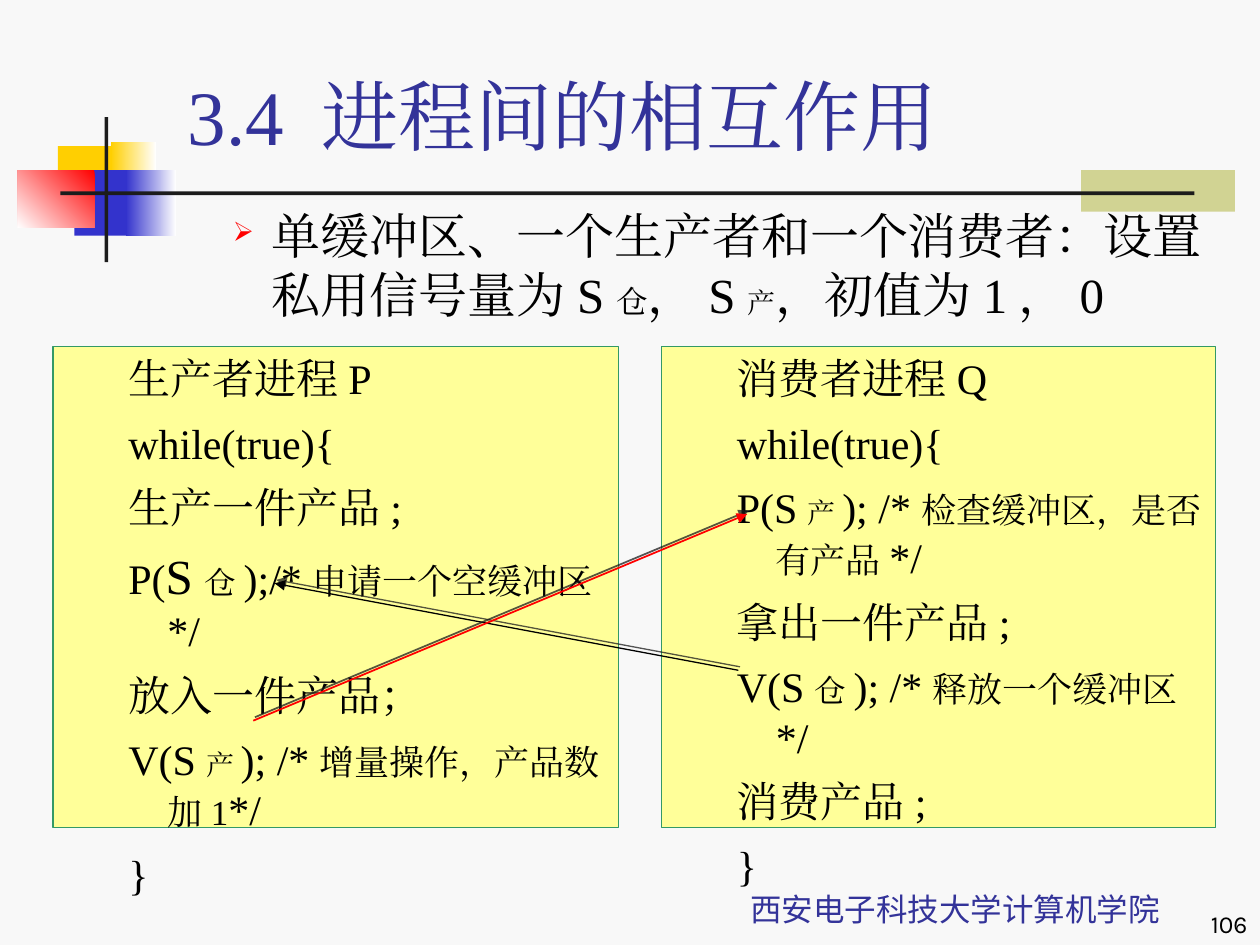
import lxml.etree
import pptx
import pptx.dml.color
import pptx.enum.shapes
import pptx.enum.text
import pptx.oxml
import pptx.oxml.ns
import pptx.util

Inches = pptx.util.Inches
Pt = pptx.util.Pt
RGB = pptx.dml.color.RGBColor.from_string
qn = pptx.oxml.ns.qn
ALIGN = pptx.enum.text.PP_ALIGN
ANCHOR = pptx.enum.text.MSO_ANCHOR
RECTANGLE = pptx.enum.shapes.MSO_SHAPE.RECTANGLE

THEME = {
    "color": {
        "background": "F8F8F8", "heading": "333399", "text": "000000",
        "olive": "D1D393", "gold": "FFCF01", "blue": "3333CC",
        "red": "FF0000", "white": "FFFFFF", "rule": "1C1C1C",
        "panel": "FFFF99", "panel_edge": "339966",
    },
    "size": {"title": 44, "body": 28, "code": 24, "note": 20, "sub": 18,
             "small_sub": 16, "footer": 18, "number": 14},
    "font": {"main": "Times New Roman", "footer": "Noto Sans CJK SC", "number": "Karla"},
}
COLOR, SIZE, FONT = THEME["color"], THEME["size"], THEME["font"]


def write_text(shape, paragraphs, color="text", font="main", anchor=ANCHOR.TOP,
               align=ALIGN.LEFT, before=1, hanging=False):
    frame = shape.text_frame
    frame_format = {
        "word_wrap": True, "auto_size": pptx.enum.text.MSO_AUTO_SIZE.NONE,
        "vertical_anchor": anchor,
        "margin_left": Inches(0.1), "margin_right": Inches(0.1),
        "margin_top": Inches(0.05), "margin_bottom": Inches(0.05),
    }
    for name, value in frame_format.items():
        setattr(frame, name, value)
    for index, pieces in enumerate(paragraphs):
        paragraph = frame.paragraphs[0] if index == 0 else frame.add_paragraph()
        paragraph_format = {"alignment": align, "space_before": Pt(before), "space_after": Pt(1)}
        for name, value in paragraph_format.items():
            setattr(paragraph, name, value)
        if hanging:
            properties = paragraph._p.get_or_add_pPr()
            properties.set("marL", str(Inches(0.81)))
            properties.set("indent", str(Inches(-0.31)))
        for words, size in pieces:
            run = paragraph.add_run()
            run.text = words
            run_format = {"size": Pt(SIZE[size]), "name": FONT[font], "bold": False}
            for name, value in run_format.items():
                setattr(run.font, name, value)
            run.font.color.rgb = RGB(COLOR[color])
            east_asian = lxml.etree.SubElement(run._r.get_or_add_rPr(), qn("a:ea"))
            east_asian.set("typeface", FONT[font])


def add_box(box, fill, edge=None):
    shape = slide.shapes.add_shape(RECTANGLE, *map(Inches, box))
    shape.shadow.inherit = False
    if isinstance(fill, str):
        shape.fill.solid()
        shape.fill.fore_color.rgb = RGB(COLOR[fill])
    else:
        start, end, angle = fill
        shape.fill.gradient()
        shape.fill.gradient_angle = angle
        for stop, color in zip(shape.fill.gradient_stops, (start, end)):
            stop.color.rgb = RGB(COLOR[color])
    if edge:
        shape.line.color.rgb = RGB(COLOR[edge])
        shape.line.width = Pt(0.75)
    else:
        shape.line.fill.background()
    return shape


deck = pptx.Presentation()
deck.slide_width, deck.slide_height = Inches(10), Inches(7.5)
slide = deck.slides.add_slide(deck.slide_layouts[5])
slide.background.fill.solid()
slide.background.fill.fore_color.rgb = RGB(COLOR["background"])

ornaments = [
    ((8.58, 1.35, 1.22, 0.33), "olive"),
    ((0.46, 1.16, 0.48, 0.52), "gold"),
    ((0.88, 1.13, 0.36, 0.52), ("white", "gold", 180)),
    ((0.59, 1.35, 0.46, 0.52), "blue"),
    ((1, 1.35, 0.4, 0.52), ("white", "blue", 180)),
    ((0.14, 1.35, 0.61, 0.46), ("red", "white", 225)),
    ((0.83, 0.93, 0.03, 1.15), "rule"),
    ((0.48, 1.52, 9, 0.03), "rule"),
]
for box, fill in ornaments:
    add_box(box, fill)

title = slide.shapes.title
title_place = {"left": 1.39, "top": 0.5, "width": 8.52, "height": 0.83}
for name, value in title_place.items():
    setattr(title, name, Inches(value))
write_text(title, [[("3.4 进程间的相互作用", "title")]], color="heading", anchor=ANCHOR.BOTTOM)

school = slide.shapes.add_textbox(*map(Inches, (5.33, 6.83, 4.5, 0.58)))
write_text(school, [[("西安电子科技大学计算机学院", "footer")]], color="heading",
           font="footer", anchor=ANCHOR.BOTTOM, align=ALIGN.CENTER)
page_number = slide.shapes.add_textbox(*map(Inches, (7.92, 7, 2.08, 0.5)))
write_text(page_number, [[("106", "number")]], font="number",
           anchor=ANCHOR.BOTTOM, align=ALIGN.RIGHT)

premise = slide.shapes.add_textbox(*map(Inches, (1.25, 1.58, 8.5, 1.08)))
write_text(premise, [[
    ("单缓冲区、一个生产者和一个消费者：设置私用信号量为S", "body"), ("仓", "sub"),
    ("，S", "body"), ("产", "small_sub"), ("，初值为1，0", "body"),
]], before=8, hanging=True)
premise_properties = premise.text_frame.paragraphs[0]._p.get_or_add_pPr()
bullet_color = lxml.etree.SubElement(premise_properties, qn("a:buClr"))
lxml.etree.SubElement(bullet_color, qn("a:srgbClr")).set("val", COLOR["red"])
for tag, key, value in [("a:buSzPct", "val", "55000"), ("a:buChar", "char", "➢")]:
    lxml.etree.SubElement(premise_properties, qn(tag)).set(key, value)

producer = [
    [("生产者进程P", "code")],
    [("while(true){", "code")],
    [("生产一件产品;", "code")],
    [("P(", "code"), ("S", "body"), ("仓", "sub"), (");/*", "code"),
     ("申请一个空缓冲区", "note"), ("*/", "code")],
    [("放入一件产品；", "code")],
    [("V(S", "code"), ("产", "small_sub"), ("); /*", "code"),
     ("增量操作，产品数加1", "note"), ("*/", "code")],
    [("}", "code")],
]
consumer = [
    [("消费者进程Q", "code")],
    [("while(true){", "code")],
    [("P(S", "code"), ("产", "small_sub"), ("); /*", "code"),
     ("检查缓冲区，是否有产品", "note"), ("*/", "code")],
    [("拿出一件产品;", "code")],
    [("V(S", "code"), ("仓", "sub"), ("); /*", "code"),
     ("释放一个缓冲区", "note"), ("*/", "code")],
    [("消费产品;", "code")],
    [("}", "code")],
]
for left, width, process in [(0.42, 4.49, producer), (5.25, 4.4, consumer)]:
    panel = add_box((left, 2.75, width, 3.82), "panel", "panel_edge")
    write_text(panel, process, before=7, hanging=True)

signals = [
    ((5.86, 5.32, 2.18, 4.63), "text", 0.75),
    ((2.01, 5.72, 5.93, 4.08), "red", 1),
]
for ends, color, width in signals:
    signal = slide.shapes.add_connector(
        pptx.enum.shapes.MSO_CONNECTOR.STRAIGHT, *map(Inches, ends))
    signal.line.color.rgb = RGB(COLOR[color])
    signal.line.width = Pt(width)
    lxml.etree.SubElement(signal.line._get_or_add_ln(), qn("a:tailEnd")).set("type", "triangle")
    effects = lxml.etree.SubElement(signal._element.spPr, qn("a:effectLst"))
    shadow = lxml.etree.SubElement(effects, qn("a:outerShdw"))
    for name, value in {"dist": Pt(2.2), "dir": 296 * 60000}.items():
        shadow.set(name, str(value))
    shade = lxml.etree.SubElement(shadow, qn("a:srgbClr"))
    shade.set("val", COLOR["rule"])
    lxml.etree.SubElement(shade, qn("a:alpha")).set("val", "75000")

deck.save("out.pptx")
